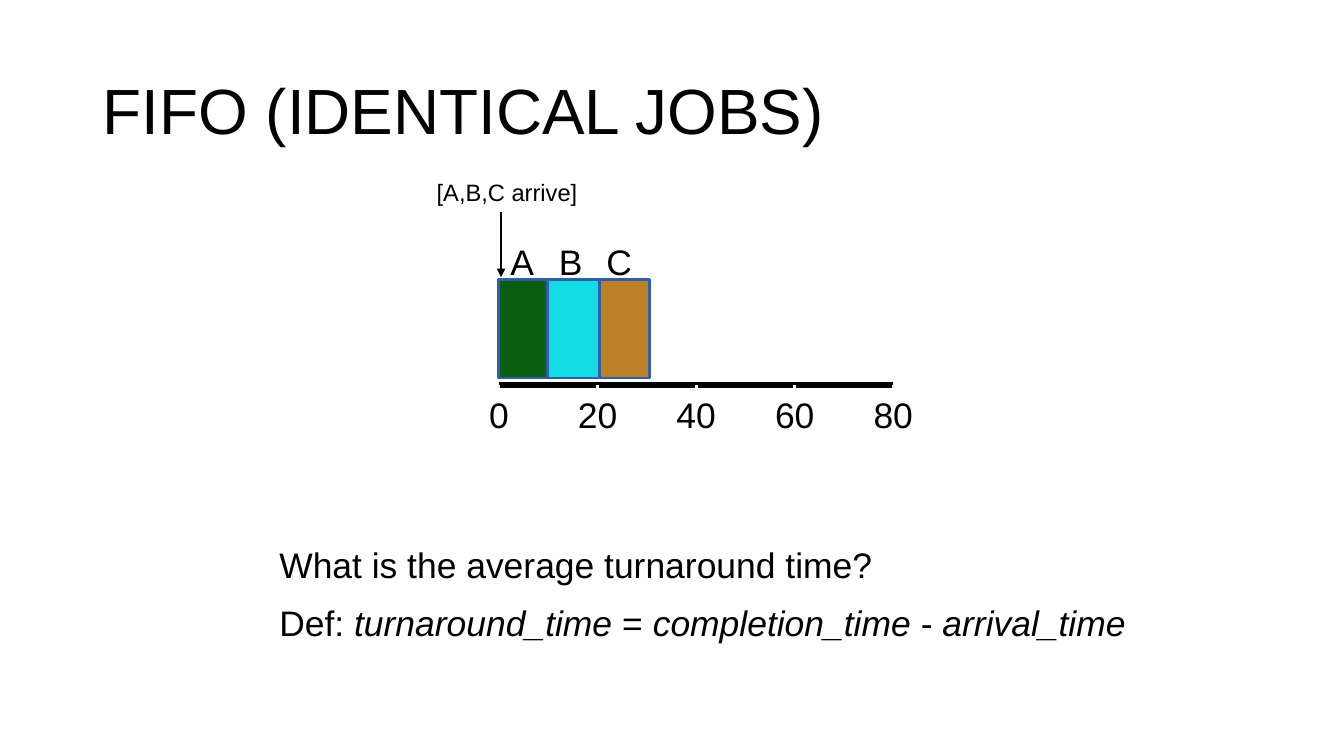
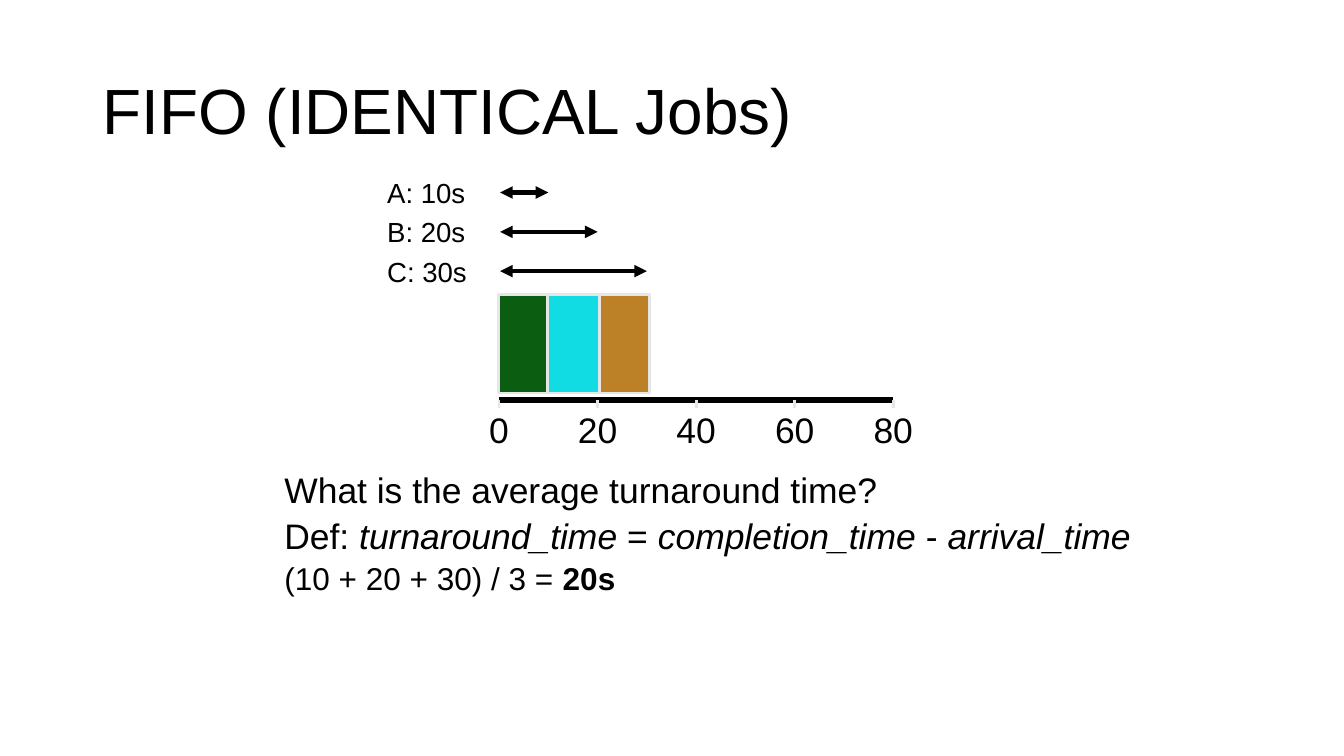
from dataclasses import dataclass

from lxml.etree import SubElement
from pptx import Presentation
from pptx.dml.color import RGBColor
from pptx.enum.shapes import MSO_CONNECTOR, MSO_SHAPE
from pptx.enum.text import MSO_ANCHOR, MSO_AUTO_SIZE, PP_ALIGN
from pptx.oxml.ns import qn
from pptx.util import Inches, Pt


@dataclass(frozen=True)
class Theme:
    font: str = "Arial"
    ink: str = "000000"
    white: str = "FFFFFF"
    pale: str = "E7E6E6"
    outline: str = "2F5FA8"
    title: float = 45.6
    body: float = 25.3
    answer: float = 22.5
    span: float = 19.7
    note: float = 16.9


THEME = Theme()
# Job name, time slot and colour; B lies over its neighbours
JOBS = [("A", 0, "0B5D12"), ("C", 2, "BC8027"), ("B", 1, "11DBE3")]
DEFINITION = [("Def: ", {}), ("turnaround_time", {"italic": True}), (" = ", {}),
              ("completion_time", {"italic": True}), (" - ", {}),
              ("arrival_time", {"italic": True})]
QUESTION = [("What is the average turnaround time?", {})]
ANSWER = [("(10 + 20 + 30) / 3 = ", {"size": Pt(THEME.answer)}),
          ("20s", {"size": Pt(THEME.answer), "bold": True})]

CHART_X = 4.95
SECOND = 3.91 / 80  # inches on the time axis


def rgb(value):
    return RGBColor.from_string(value)


def set_all(target, values):
    for name, value in values.items():
        setattr(target, name, value)


def place(sp, left, top, width, height):
    set_all(sp, dict(left=Inches(left), top=Inches(top),
                     width=Inches(width), height=Inches(height)))


def add_run(p, text, points, fmt=None):
    r = p.add_run()
    r.text = text
    set_all(r.font, {"name": THEME.font, "size": Pt(points), **(fmt or {})})
    r.font.color.rgb = rgb(THEME.ink)


def fit_frame(tf, inset=0.04):
    set_all(tf, dict(word_wrap=True, auto_size=MSO_AUTO_SIZE.NONE,
                     vertical_anchor=MSO_ANCHOR.MIDDLE))
    set_all(tf, {f"margin_{side}": Inches(inset)
                 for side in ("left", "right", "top", "bottom")})


def add_label(s, text, left, mid_y, width, points, align=PP_ALIGN.CENTER):
    height = 0.5
    sp = s.shapes.add_textbox(Inches(left), Inches(mid_y - height / 2),
                              Inches(width), Inches(height))
    fit_frame(sp.text_frame)
    p = sp.text_frame.paragraphs[0]
    p.alignment = align
    add_run(p, text, points)


def add_line(s, x1, y1, x2, y2, color, width, ends=()):
    sp = s.shapes.add_connector(MSO_CONNECTOR.STRAIGHT, Inches(x1), Inches(y1),
                                Inches(x2), Inches(y2))
    sp.line.color.rgb = rgb(color)
    sp.line.width = Pt(width)
    ln = sp.line._get_or_add_ln()
    for end in ends:
        SubElement(ln, qn(f"a:{end}"), type="triangle")
    SubElement(sp._element.spPr, qn("a:effectLst"))


def add_title(s, text):
    sp = s.shapes.title
    place(sp, 0.92, 0.4, 11.5, 1.45)
    fit_frame(sp.text_frame, 0.1)
    p = sp.text_frame.paragraphs[0]
    set_all(p, dict(alignment=PP_ALIGN.LEFT, line_spacing=0.9))
    add_run(p, text, THEME.title)


def add_body(s, paragraphs, left, top, height, gap):
    sp = s.placeholders[1]
    place(sp, left, top, 8.56, height)
    tf = sp.text_frame
    fit_frame(tf)
    for i, runs in enumerate(paragraphs):
        p = tf.paragraphs[0] if i == 0 else tf.add_paragraph()
        pPr = p._p.get_or_add_pPr()
        set_all(p, dict(space_before=Pt(gap if i else 0), alignment=PP_ALIGN.LEFT))
        for name in ("marL", "indent"):
            pPr.set(name, "0")
        SubElement(pPr, qn("a:buNone"))
        for text, fmt in runs:
            add_run(p, text, THEME.body, fmt)


def add_timeline(s, left, top, outline, tick_color):
    # Job blocks
    for _, slot, color in JOBS:
        sp = s.shapes.add_shape(MSO_SHAPE.RECTANGLE, Inches(left - 0.01 + 0.49 * slot),
                                Inches(top), Inches(0.52), Inches(0.98))
        sp.shadow.inherit = False
        sp.fill.solid()
        sp.fill.fore_color.rgb = rgb(color)
        sp.line.color.rgb = rgb(outline)
        sp.line.width = Pt(2)
    # Time axis with ticks
    axis_y = top + 1.05
    add_line(s, left, axis_y, left + 80 * SECOND, axis_y, THEME.ink, 4)
    for time in range(0, 81, 20):
        x = left + time * SECOND
        add_line(s, x, axis_y, x, axis_y + 0.08, tick_color, 2)
        add_label(s, str(time), x - 0.35, axis_y + 0.29, 0.7, THEME.body)


def add_arrivals(s, left, top):
    for name, slot, _ in JOBS:
        add_label(s, name, left + 0.03 + 0.48 * slot, top - 0.18, 0.4, THEME.body)
    add_label(s, "[A,B,C arrive]", left - 0.77, top - 0.86, 1.7, THEME.note)
    add_line(s, left + 0.02, top - 0.67, left + 0.02, top - 0.02,
             THEME.ink, 2, ["tailEnd"])


def add_spans(s, left, top):
    for name, slot, _ in JOBS:
        y = top + 0.39 * slot
        time = 10 * (slot + 1)
        add_line(s, left + 0.01, y, left + time * SECOND, y,
                 THEME.ink, 3, ["headEnd", "tailEnd"])
        add_label(s, f"{name}: {time}s", left - 1.15, y, 1.1, THEME.span, PP_ALIGN.LEFT)


def build_question_slide(s):
    add_title(s, "FIFO (IDENTICAL JOBS)")
    add_timeline(s, CHART_X, 2.77, THEME.outline, THEME.white)
    add_arrivals(s, CHART_X, 2.77)
    add_body(s, [QUESTION, DEFINITION], 2.73, 5.36, 1.06, gap=11)


def build_answer_slide(s):
    add_title(s, "FIFO (IDENTICAL Jobs)")
    add_timeline(s, CHART_X, 2.92, THEME.pale, THEME.pale)
    add_spans(s, CHART_X, 1.91)
    add_body(s, [QUESTION, DEFINITION, ANSWER], 2.78, 4.63, 1.31, gap=2)


def main():
    prs = Presentation()
    set_all(prs, dict(slide_width=Inches(13.33), slide_height=Inches(7.5)))
    for build in (build_question_slide, build_answer_slide):
        build(prs.slides.add_slide(prs.slide_layouts[1]))
    prs.save("out.pptx")


if __name__ == "__main__":
    main()
